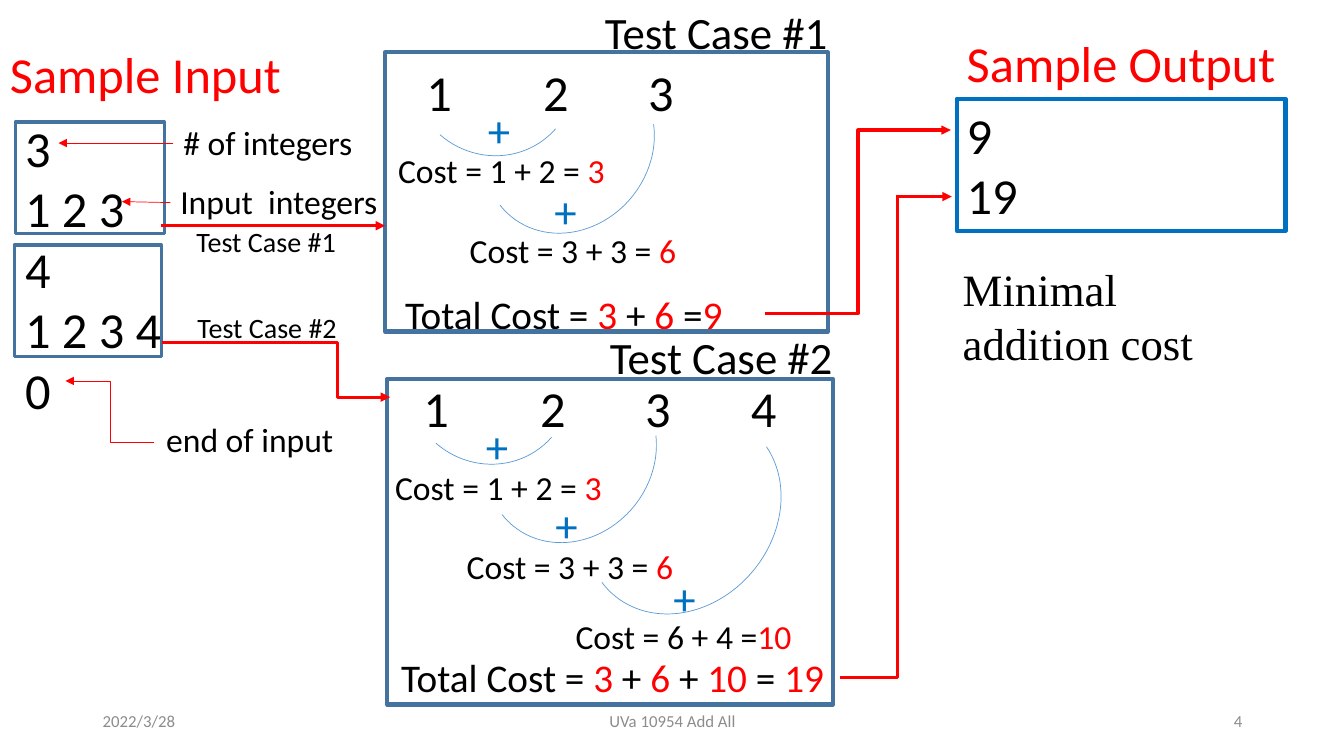
from lxml import etree
from pptx import Presentation
from pptx.dml.color import RGBColor
from pptx.enum.shapes import MSO_CONNECTOR, MSO_SHAPE
from pptx.enum.text import MSO_ANCHOR, MSO_AUTO_SIZE, PP_ALIGN
from pptx.oxml.ns import qn
from pptx.util import Inches, Pt

BLACK = RGBColor(0x00, 0x00, 0x00)
RED = RGBColor(0xFF, 0x00, 0x00)
BLUE = RGBColor(0x00, 0x70, 0xC0)
STEEL = RGBColor(0x43, 0x73, 0x9E)
SKY = RGBColor(0x5B, 0x9B, 0xD5)
GREY = RGBColor(0x8C, 0x8C, 0x8C)

LINE, ELBOW = MSO_CONNECTOR.STRAIGHT, MSO_CONNECTOR.ELBOW
RECT, ARC = MSO_SHAPE.RECTANGLE, MSO_SHAPE.ARC
TOP, MIDDLE = MSO_ANCHOR.TOP, MSO_ANCHOR.MIDDLE
LEFT, CENTER, RIGHT = PP_ALIGN.LEFT, PP_ALIGN.CENTER, PP_ALIGN.RIGHT
GROW, FIXED = MSO_AUTO_SIZE.SHAPE_TO_FIT_TEXT, MSO_AUTO_SIZE.NONE

STOPS = (1.16, 2.2, 3.25)

CASES = [
    {
        "title": ("Test Case #1", (5.9, 0, 2.46, 0.64)),
        "frame": (3.82, 0.52, 4.39, 2.77),
        "row": ("1\t2\t3", (4.13, 0.56, 2.9, 0.71)),
        "arcs": [
            ((4.09, -0.09, 1.6, 1.65), 131.2, 162, 0),
            ((4.74, 0.65, 1.81, 1.6), 129.8, 129.38, 5.87),
        ],
        "plus": [(4.74, 0.97), (5.4, 1.77)],
        "costs": [
            ("Cost = 1 + 2 = *3", 3.85, 1.44),
            ("Cost = 3 + 3 = *6", 4.56, 2.23),
        ],
        "total": ("Total Cost = *3* + *6* =*9", (3.92, 2.83, 3.67, 0.57)),
    },
    {
        "title": ("Test Case #2", (5.95, 3.22, 2.46, 0.64)),
        "frame": (3.84, 3.76, 4.42, 3.23),
        "row": ("1\t2\t3\t4", (4.1, 3.69, 3.96, 0.71)),
        "arcs": [
            ((4.05, 2.97, 1.6, 1.65), 131.2, 162, 0),
            ((4.76, 3.72, 1.81, 1.6), 129.8, 130.16, 5.87),
            ((5.71, 4.19, 2.13, 1.8), 129.8, 115.01, 5.87),
        ],
        "plus": [(4.72, 4.1), (5.41, 4.89), (6.58, 5.61)],
        "costs": [
            ("Cost = 1 + 2 = *3", 3.82, 4.58),
            ("Cost = 3 + 3 = *6", 4.53, 5.37),
            ("Cost = 6 + 4 =*10", 5.61, 6.06),
        ],
        "total": ("Total Cost = *3* + *6* + *10* = *19", (3.88, 6.43, 4.45, 0.57)),
    },
]


def write(frame, text, size=24, color=BLACK, font="Calibri", align=LEFT,
          anchor=TOP, fit=GROW, stops=()):
    frame.word_wrap = True
    frame.auto_size = fit
    frame.vertical_anchor = anchor
    for i, line in enumerate(text.split("\n")):
        para = frame.paragraphs[0] if i == 0 else frame.add_paragraph()
        para.alignment = align
        if stops:
            tabs = etree.SubElement(para._p.get_or_add_pPr(), qn("a:tabLst"))
            for stop in stops:
                etree.SubElement(tabs, qn("a:tab"), pos=str(Inches(stop)), algn="l")
        for j, part in enumerate(line.split("*")):
            run = para.add_run()
            run.text = part
            run.font.name = font
            run.font.size = Pt(size)
            run.font.color.rgb = RED if j % 2 else color


def label(slide, text, box, **style):
    area = slide.shapes.add_textbox(*map(Inches, box))
    write(area.text_frame, text, **style)


def shape(slide, kind, box, color, width):
    item = slide.shapes.add_shape(kind, *map(Inches, box))
    item.shadow.inherit = False
    item.fill.background()
    item.line.color.rgb = color
    item.line.width = Pt(width)
    return item


def curve(slide, box, turn, start, end):
    item = shape(slide, ARC, box, SKY, 0.5)
    item.rotation = turn
    item.adjustments[0] = start
    item.adjustments[1] = end


def link(shapes, start, end, width=2.25, kind=LINE, head=True, bend=None, preset=None):
    wire = shapes.add_connector(kind, *map(Inches, start + end))
    wire.line.color.rgb = RED
    wire.line.width = Pt(width)
    if head:
        etree.SubElement(wire.line._get_or_add_ln(), qn("a:tailEnd"), type="triangle")
    props = wire._element.spPr
    etree.SubElement(props, qn("a:effectLst"))
    form = props.find(qn("a:prstGeom"))
    if preset:
        form.set("prst", preset)
    if bend:
        etree.SubElement(form.find(qn("a:avLst")), qn("a:gd"),
                         name="adj1", fmla=f"val {round(bend * 100000)}")


def case(slide, data):
    text, box = data["row"]
    label(slide, text, box, size=36, stops=STOPS[:text.count("\t")])
    for arc in data["arcs"]:
        curve(slide, *arc)
    for text, left, top in data["costs"]:
        label(slide, text, (left, top, 2.34, 0.5))
    label(slide, *data["total"], size=28)
    for left, top in data["plus"]:
        label(slide, "+", (left, top, 0.54, 0.64), size=32, color=BLUE)
    shape(slide, RECT, data["frame"], STEEL, 3)
    label(slide, *data["title"], size=32)


def inputs(slide):
    label(slide, "Sample Input", (0, 0.38, 3.3, 0.71), size=36, color=RED)
    label(slide, "3\n1 2 3\n4\n1 2 3 4\n0", (0.15, 1.11, 1.66, 3.13), size=36)
    shape(slide, RECT, (0.15, 1.21, 1.48, 1.11), STEEL, 2.25)
    shape(slide, RECT, (0.14, 2.43, 1.46, 1.11), STEEL, 2.25)
    label(slide, "# of integers", (1.72, 1.16, 1.93, 0.5))
    label(slide, "Input  integers", (1.69, 1.75, 2.24, 0.5))
    label(slide, "end of input", (1.55, 4.11, 1.93, 0.5))
    label(slide, "Test Case #1", (1.85, 2.18, 1.62, 0.44), size=20)
    label(slide, "Test Case #2", (1.86, 3.03, 1.62, 0.44), size=20)


def outputs(slide):
    label(slide, "Sample Output", (9.49, 0.27, 3.3, 0.71), size=36, color=RED)
    answer = shape(slide, RECT, (9.49, 0.98, 3.26, 1.31), BLUE, 3)
    write(answer.text_frame, "9\n19", size=36)
    label(slide, "Minimal addition cost", (9.45, 2.55, 2.86, 1.18),
          size=32, font="Times New Roman")


def links(slide):
    shapes = slide.shapes
    link(shapes, (1.72, 1.42), (0.58, 1.42), 0.5)
    link(shapes, (1.69, 2.01), (1.21, 2), 0.5)
    link(shapes, (1.53, 4.39), (0.65, 3.78), 0.5, ELBOW)
    link(shapes, (1.6, 2.24), (3.82, 2.24))
    link(shapes, (1.61, 3.4), (3.87, 3.94), kind=ELBOW, bend=0.77)
    link(shapes, (7.59, 3.11), (9.43, 1.29), kind=ELBOW)
    route = shapes.add_group_shape().shapes
    link(route, (8.33, 6.72), (8.9, 1.95), kind=ELBOW, head=False, preset="bentConnector2")
    link(route, (8.89, 1.95), (9.44, 1.95))


def footer(slide):
    style = {"size": 12, "color": GREY, "anchor": MIDDLE, "fit": FIXED}
    label(slide, "2022/3/28", (0.92, 6.95, 3, 0.4), **style)
    label(slide, "UVa 10954 Add All", (4.42, 6.95, 4.5, 0.4), align=CENTER, **style)
    label(slide, "4", (9.42, 6.95, 3, 0.4), align=RIGHT, **style)


def main():
    deck = Presentation()
    deck.slide_width, deck.slide_height = Inches(13.33), Inches(7.5)
    slide = deck.slides.add_slide(deck.slide_layouts[6])
    inputs(slide)
    outputs(slide)
    for data in CASES:
        case(slide, data)
    links(slide)
    footer(slide)
    deck.save("out.pptx")


if __name__ == "__main__":
    main()
